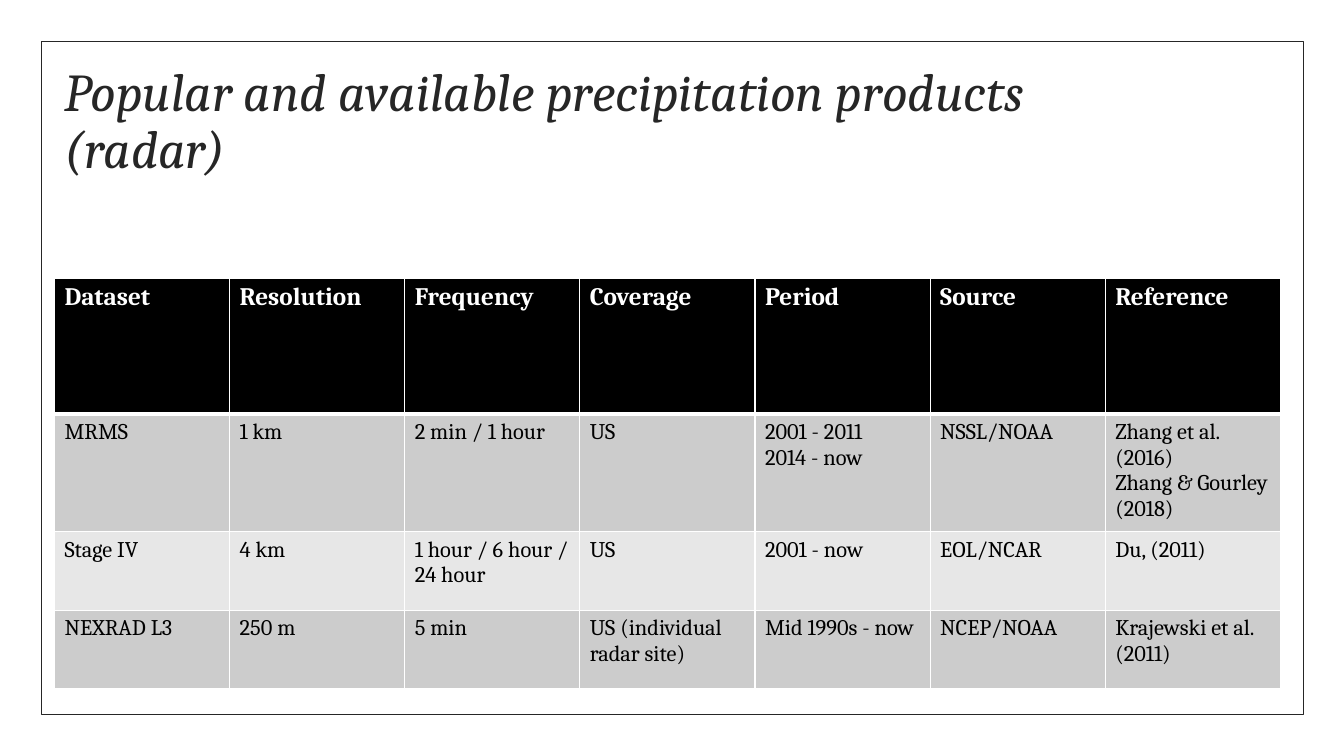
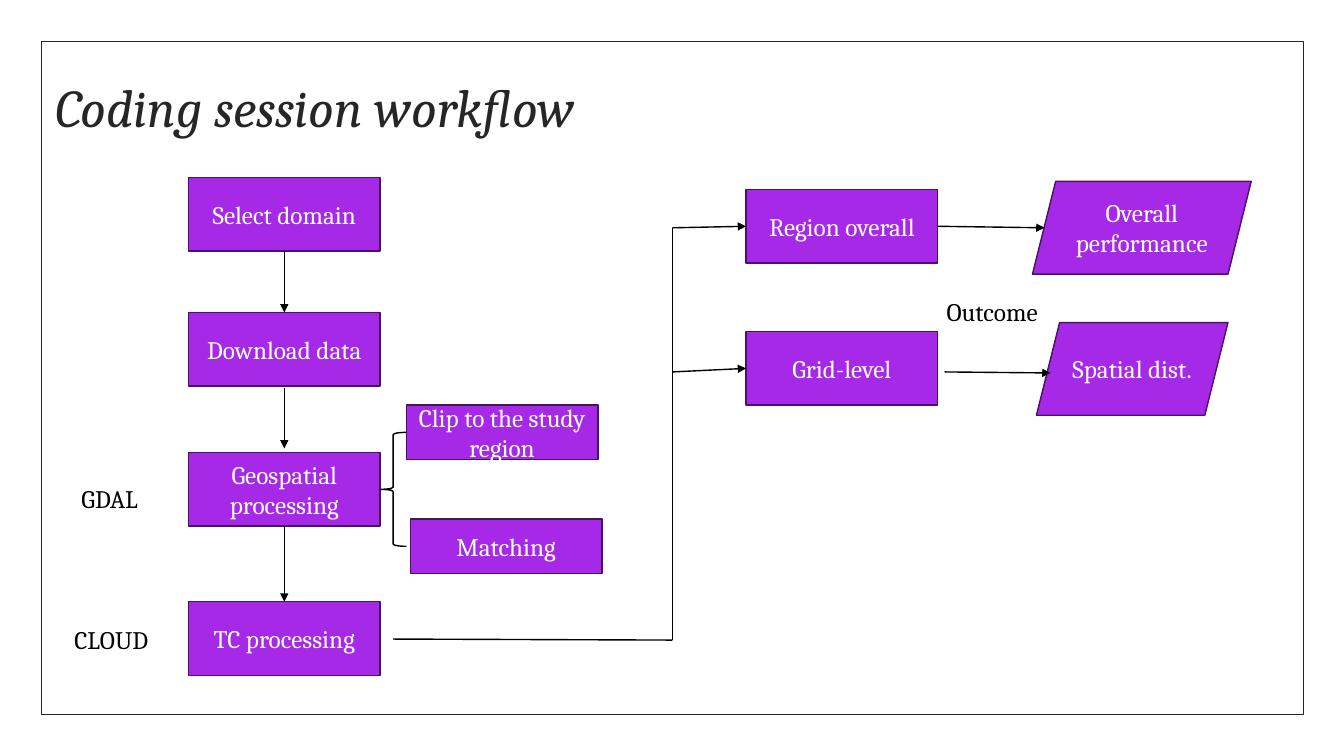
"""Build two slides: radar precipitation products and the coding session workflow."""
from dataclasses import dataclass

from pptx import Presentation
from pptx.dml.color import RGBColor
from pptx.enum.shapes import MSO_CONNECTOR, MSO_SHAPE
from pptx.enum.text import MSO_ANCHOR, MSO_AUTO_SIZE, PP_ALIGN
from pptx.oxml import parse_xml
from pptx.oxml.ns import nsdecls
from pptx.util import Inches, Pt


@dataclass(frozen=True)
class Theme:
    font: str = "Cambria"
    ink: str = "262626"
    black: str = "000000"
    white: str = "FFFFFF"
    purple: str = "A629E7"
    plum: str = "491265"
    bands: tuple = ("CCCCCC", "E7E7E7")
    title: int = 38
    body: int = 18
    cell: int = 16
    frame_line: float = 0.5
    line: float = 1
    header_line: float = 3


THEME = Theme()
TOP, LEFT, BOTTOM, RIGHT = range(4)

PRODUCTS_TITLE = "Popular and available precipitation products (radar)"
PRODUCTS = [
    ("Dataset", "Resolution", "Frequency", "Coverage", "Period", "Source", "Reference"),
    ("MRMS", "1 km", "2 min / 1 hour", "US", "2001 - 2011\n2014 - now", "NSSL/NOAA",
     "Zhang et al. (2016)\nZhang & Gourley (2018)"),
    ("Stage IV", "4 km", "1 hour / 6 hour / 24 hour", "US", "2001 - now", "EOL/NCAR",
     "Du, (2011)"),
    ("NEXRAD L3", "250 m", "5 min", "US (individual radar site)", "Mid 1990s - now",
     "NCEP/NOAA", "Krajewski et al. (2011)"),
]
HEADER_HEIGHT, ROW_HEIGHT = 1.35, 0.78

WORKFLOW_TITLE = "Coding session workflow"
STEP_SIZE, DETAIL_SIZE = (1.9, 0.73), (1.9, 0.54)
STEPS = [
    ("Select domain", 1.87, 1.76, *STEP_SIZE),
    ("Download data", 1.87, 3.1, *STEP_SIZE),
    ("Geospatial processing", 1.87, 4.49, *STEP_SIZE),
    ("TC processing", 1.87, 5.97, *STEP_SIZE),
    ("Clip to the study region", 4.03, 4.02, *DETAIL_SIZE),
    ("Matching", 4.07, 5.15, *DETAIL_SIZE),
    ("Region overall", 7.4, 1.88, *STEP_SIZE),
    ("Grid-level", 7.4, 3.29, *STEP_SIZE),
]
OUTCOMES = [
    ("Spatial dist.", 10.28, 3.2, 1.9, 0.92),
    ("Overall performance", 10.24, 1.8, 2.17, 0.92),
]
LABELS = [
    ("GDAL", 0.71, 4.75, 0.9, 0.4),
    ("CLOUD", 0.64, 6.14, 1.04, 0.4),
    ("Outcome", 9.29, 2.89, 1.22, 0.4),
]
BRACE = (3.77, 4.29, 0.26, 1.13)
TRUNK = [((3.9, 6.34), (6.67, 6.35)), ((6.67, 6.35), (6.67, 2.26))]
ARROWS = [
    ((6.67, 2.26), ("Region overall", LEFT)),
    ((6.67, 3.69), ("Grid-level", LEFT)),
    (("Region overall", RIGHT), (10.36, 2.26)),
    ((9.37, 3.69), (10.42, 3.7)),
    (("Select domain", BOTTOM), ("Download data", TOP)),
    ((2.82, 3.85), (2.82, 4.45)),
    (("Geospatial processing", BOTTOM), ("TC processing", TOP)),
]


def rgb(color):
    return RGBColor.from_string(color)


def inches(values):
    return [Inches(value) for value in values]


def write(frame, text, color, size=THEME.body, align=PP_ALIGN.LEFT, spacing=None, **font_values):
    frame.text = text
    values = {"name": THEME.font, "size": Pt(size), **font_values}
    for paragraph in frame.paragraphs:
        paragraph.alignment = align
        paragraph.line_spacing = spacing
        for attribute, value in values.items():
            setattr(paragraph.font, attribute, value)
        paragraph.font.color.rgb = rgb(color)


def add_outline(slide, preset, place, line, width=THEME.line, fill=None):
    outline = slide.shapes.add_shape(preset, *inches(place))
    outline.shadow.inherit = False
    outline.line.color.rgb = rgb(line)
    outline.line.width = Pt(width)
    if fill:
        outline.fill.solid()
        outline.fill.fore_color.rgb = rgb(fill)
    else:
        outline.fill.background()
    return outline


def add_framed_slide(deck, title, left, top):
    slide = deck.slides.add_slide(deck.slide_layouts[6])
    add_outline(slide, MSO_SHAPE.RECTANGLE, (0.41, 0.41, 12.52, 6.68), THEME.ink, THEME.frame_line)
    frame = slide.shapes.add_textbox(*inches((left, top, 11, 1.5))).text_frame
    frame.word_wrap = True
    frame.vertical_anchor = MSO_ANCHOR.MIDDLE
    write(frame, title, THEME.ink, THEME.title, spacing=0.9, italic=True)
    return slide


def add_borders(cell, row):
    widths = dict.fromkeys("LRTB", THEME.line)
    if row < 2:
        widths["B" if row == 0 else "T"] = THEME.header_line
    for side, width in widths.items():
        cell._tc.get_or_add_tcPr().append(parse_xml(
            f'<a:ln{side} {nsdecls("a")} w="{Pt(width)}"><a:solidFill>'
            f'<a:srgbClr val="{THEME.white}"/></a:solidFill></a:ln{side}>'))


def add_products(slide):
    heights = [HEADER_HEIGHT] + [ROW_HEIGHT] * (len(PRODUCTS) - 1)
    place = inches((0.54, 2.76, 12.16, sum(heights)))
    table = slide.shapes.add_table(len(PRODUCTS), len(PRODUCTS[0]), *place).table
    table.horz_banding = False
    for row, (height, texts) in enumerate(zip(heights, PRODUCTS)):
        table.rows[row].height = Inches(height)
        header = row == 0
        fill = THEME.black if header else THEME.bands[(row - 1) % 2]
        color, size = (THEME.white, THEME.body) if header else (THEME.black, THEME.cell)
        for column, text in enumerate(texts):
            cell = table.cell(row, column)
            add_borders(cell, row)
            cell.fill.solid()
            cell.fill.fore_color.rgb = rgb(fill)
            write(cell.text_frame, text, color, size, bold=header)


def add_node(slide, preset, text, *place):
    node = add_outline(slide, preset, place, THEME.plum, fill=THEME.purple)
    node.text_frame.word_wrap = True
    node.text_frame.vertical_anchor = MSO_ANCHOR.MIDDLE
    write(node.text_frame, text, THEME.white, align=PP_ALIGN.CENTER)
    return node


def add_label(slide, text, *place):
    frame = slide.shapes.add_textbox(*inches(place)).text_frame
    frame.word_wrap = False
    frame.auto_size = MSO_AUTO_SIZE.SHAPE_TO_FIT_TEXT
    write(frame, text, THEME.black)


def add_link(slide, nodes, start, end, arrow):
    points = [(0, 0) if point[0] in nodes else point for point in (start, end)]
    link = slide.shapes.add_connector(MSO_CONNECTOR.STRAIGHT, *inches(points[0] + points[1]))
    for point, join in ((start, link.begin_connect), (end, link.end_connect)):
        if point[0] in nodes:
            join(nodes[point[0]], point[1])
    link.line.color.rgb = rgb(THEME.black)
    link.line.width = Pt(THEME.line)
    if arrow:
        link.line._get_or_add_ln().append(parse_xml(f'<a:tailEnd {nsdecls("a")} type="triangle"/>'))
    link._element.spPr.append(parse_xml(f'<a:effectLst {nsdecls("a")}/>'))


def add_workflow(slide):
    nodes = {step[0]: add_node(slide, MSO_SHAPE.RECTANGLE, *step) for step in STEPS}
    add_outline(slide, MSO_SHAPE.LEFT_BRACE, BRACE, THEME.black)
    for outcome in OUTCOMES:
        add_node(slide, MSO_SHAPE.PARALLELOGRAM, *outcome)
    for label in LABELS:
        add_label(slide, *label)
    for links, arrow in ((TRUNK, False), (ARROWS, True)):
        for start, end in links:
            add_link(slide, nodes, start, end, arrow)


def main():
    deck = Presentation()
    deck.slide_width, deck.slide_height = inches((13.33, 7.5))
    add_products(add_framed_slide(deck, PRODUCTS_TITLE, 0.54, 0.47))
    add_workflow(add_framed_slide(deck, WORKFLOW_TITLE, 0.45, 0.34))
    deck.save("out.pptx")


if __name__ == "__main__":
    main()
